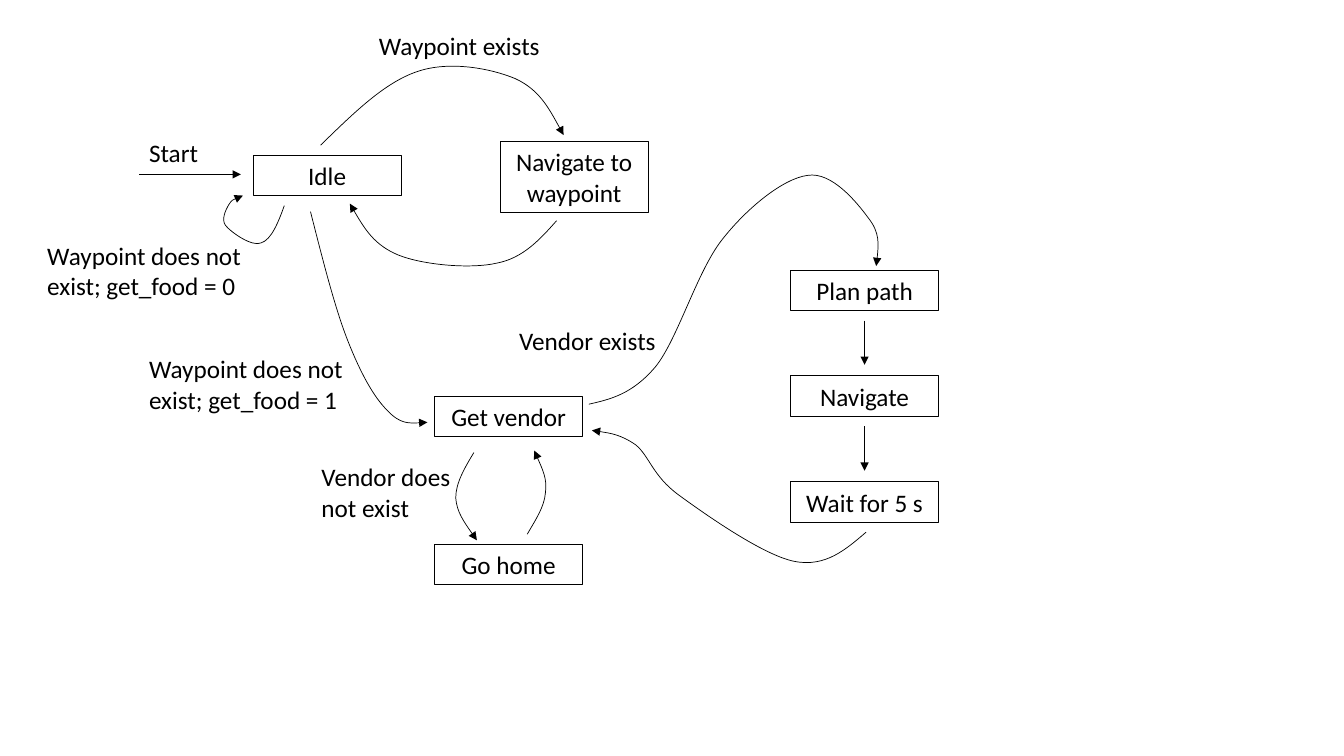
from lxml import etree
from pptx import Presentation
from pptx.dml.color import RGBColor
from pptx.enum import shapes, text
from pptx.oxml.ns import qn
from pptx.util import Inches, Pt

BLACK = RGBColor(0x00, 0x00, 0x00)
FONT = "Calibri"
STATE_WIDTH = 1.47
LINE_HEIGHTS = {1: 0.4, 2: 0.71}


def place(origin, point):
    return Inches(origin[0] + point[0]), Inches(origin[1] + point[1])


def write(holder, wording, alignment):
    frame = holder.text_frame
    frame.word_wrap = True
    frame.text = wording
    paragraph = frame.paragraphs[0]
    paragraph.alignment = alignment
    font = paragraph.runs[0].font
    font.name, font.size = FONT, Pt(18)
    font.color.rgb = BLACK


def add_state(slide, origin, name, point, lines=1):
    state = slide.shapes.add_shape(
        shapes.MSO_SHAPE.RECTANGLE, *place(origin, point),
        Inches(STATE_WIDTH), Inches(LINE_HEIGHTS[lines]))
    state.shadow.inherit = False
    state.fill.background()
    state.line.color.rgb = BLACK
    state.line.width = Pt(0.75)
    write(state, name, text.PP_ALIGN.CENTER)


def add_condition(slide, origin, wording, point, width, lines=1):
    condition = slide.shapes.add_textbox(
        *place(origin, point), Inches(width), Inches(LINE_HEIGHTS[lines]))
    write(condition, wording, text.PP_ALIGN.LEFT)


def style_transition(transition):
    transition.line.color.rgb = BLACK
    transition.line.width = Pt(0.5)
    outline = transition._element.spPr.find(qn("a:ln"))
    etree.SubElement(outline, qn("a:tailEnd")).set("type", "triangle")


def add_arrow(slide, origin, start, end):
    arrow = slide.shapes.add_connector(
        shapes.MSO_CONNECTOR.STRAIGHT, *place(origin, start), *place(origin, end))
    style_transition(arrow)
    etree.SubElement(arrow._element.spPr, qn("a:effectLst"))


def add_curve(slide, origin, points):
    start, *rest = [place(origin, point) for point in points]
    builder = slide.shapes.build_freeform(*start)
    builder.add_line_segments(rest, close=False)
    curve = builder.convert_to_shape()
    curve.shadow.inherit = False
    curve.fill.background()
    style_transition(curve)
    segments = list(curve._element.iter(qn("a:lnTo")))
    for first, second, third in zip(segments[::3], segments[1::3], segments[2::3]):
        bezier = etree.Element(qn("a:cubicBezTo"))
        first.addprevious(bezier)
        for segment in (first, second, third):
            bezier.append(segment[0])
            segment.getparent().remove(segment)


def add_waypoint_loop(slide, origin):
    add_state(slide, origin, "Idle", (2.21, 1.34))
    add_state(slide, origin, "Navigate to waypoint", (4.66, 1.2), 2)
    add_arrow(slide, origin, (1.08, 1.53), (2.09, 1.53))
    add_condition(slide, origin, "Start", (1.08, 1.11), 0.79)
    add_condition(slide, origin, "Waypoint exists", (3.36, 0.05), 1.93)
    add_condition(slide, origin, "Waypoint does not exist; get_food = 0",
                  (0.07, 2.13), 2.19, 2)
    to_waypoint = [
        (2.88, 1.24), (3.2, 0.93), (3.51, 0.62), (3.84, 0.51), (4.16, 0.4),
        (4.57, 0.48), (4.81, 0.58), (5.05, 0.69), (5.17, 0.92), (5.29, 1.14)]
    back_to_idle = [
        (5.22, 1.99), (5.06, 2.17), (4.89, 2.36), (4.63, 2.41), (4.37, 2.47),
        (3.9, 2.43), (3.65, 2.33), (3.41, 2.23), (3.29, 2.03), (3.17, 1.82)]
    stay_idle = [
        (2.52, 1.84), (2.46, 2.01), (2.39, 2.18), (2.29, 2.21), (2.2, 2.25),
        (2.0, 2.11), (1.94, 2.04), (1.89, 1.98), (1.94, 1.88), (1.97, 1.83),
        (2.0, 1.78), (2.06, 1.76), (2.11, 1.74)]
    for points in (to_waypoint, back_to_idle, stay_idle):
        add_curve(slide, origin, points)


def add_vendor_search(slide, origin):
    add_state(slide, origin, "Get vendor", (3.01, 1.93))
    add_state(slide, origin, "Go home", (3.01, 3.4))
    add_condition(slide, origin, "Waypoint does not exist; get_food = 1",
                  (0.08, 1.46), 2.19, 2)
    add_condition(slide, origin, "Vendor does not exist", (1.79, 2.53), 1.65, 2)
    idle_to_vendor = [
        (1.78, 0.1), (1.9, 0.57), (2.02, 1.05), (2.15, 1.38), (2.28, 1.71),
        (2.41, 1.94), (2.54, 2.07), (2.67, 2.21), (2.81, 2.2), (2.94, 2.19)]
    vendor_to_home = [
        (3.4, 2.49), (3.31, 2.64), (3.22, 2.79), (3.22, 2.94),
        (3.23, 3.08), (3.33, 3.22), (3.43, 3.36)]
    home_to_vendor = [
        (3.93, 3.3), (4.01, 3.16), (4.1, 3.03), (4.11, 2.89),
        (4.13, 2.75), (4.06, 2.61), (4.0, 2.47)]
    for points in (idle_to_vendor, vendor_to_home, home_to_vendor):
        add_curve(slide, origin, points)


def add_vendor_trip(slide, origin):
    left, top, step = 2.84, 0.98, 1.05
    steps = ["Plan path", "Navigate", "Wait for 5 s"]
    for index, name in enumerate(steps):
        y = top + index * step
        add_state(slide, origin, name, (left, y))
        if index < len(steps) - 1:
            middle = left + STATE_WIDTH / 2
            add_arrow(slide, origin, (middle, y + 0.5), (middle, y + 0.94))
    add_condition(slide, origin, "Vendor exists", (0.05, 1.48), 1.65)
    vendor_to_plan = [
        (0.84, 2.31), (1.06, 2.26), (1.27, 2.21), (1.5, 1.94), (1.72, 1.67),
        (1.91, 1.0), (2.16, 0.68), (2.41, 0.36), (2.77, 0.07), (3.01, 0.04),
        (3.25, 0), (3.5, 0.31), (3.61, 0.46), (3.73, 0.61), (3.71, 0.78),
        (3.69, 0.94)]
    wait_to_vendor = [
        (3.59, 3.58), (3.39, 3.75), (3.19, 3.93), (2.88, 3.87), (2.57, 3.81),
        (1.99, 3.4), (1.73, 3.21), (1.47, 3.02), (1.44, 2.82), (1.3, 2.71),
        (1.15, 2.61), (1.01, 2.59), (0.87, 2.57)]
    for points in (vendor_to_plan, wait_to_vendor):
        add_curve(slide, origin, points)


deck = Presentation()
deck.slide_width, deck.slide_height = Inches(13.33), Inches(7.5)
state_machine = deck.slides.add_slide(deck.slide_layouts[6])
add_waypoint_loop(state_machine, (0.3, 0.2))
add_vendor_search(state_machine, (1.3, 2.0))
add_vendor_trip(state_machine, (5.0, 1.7))
deck.save("out.pptx")
